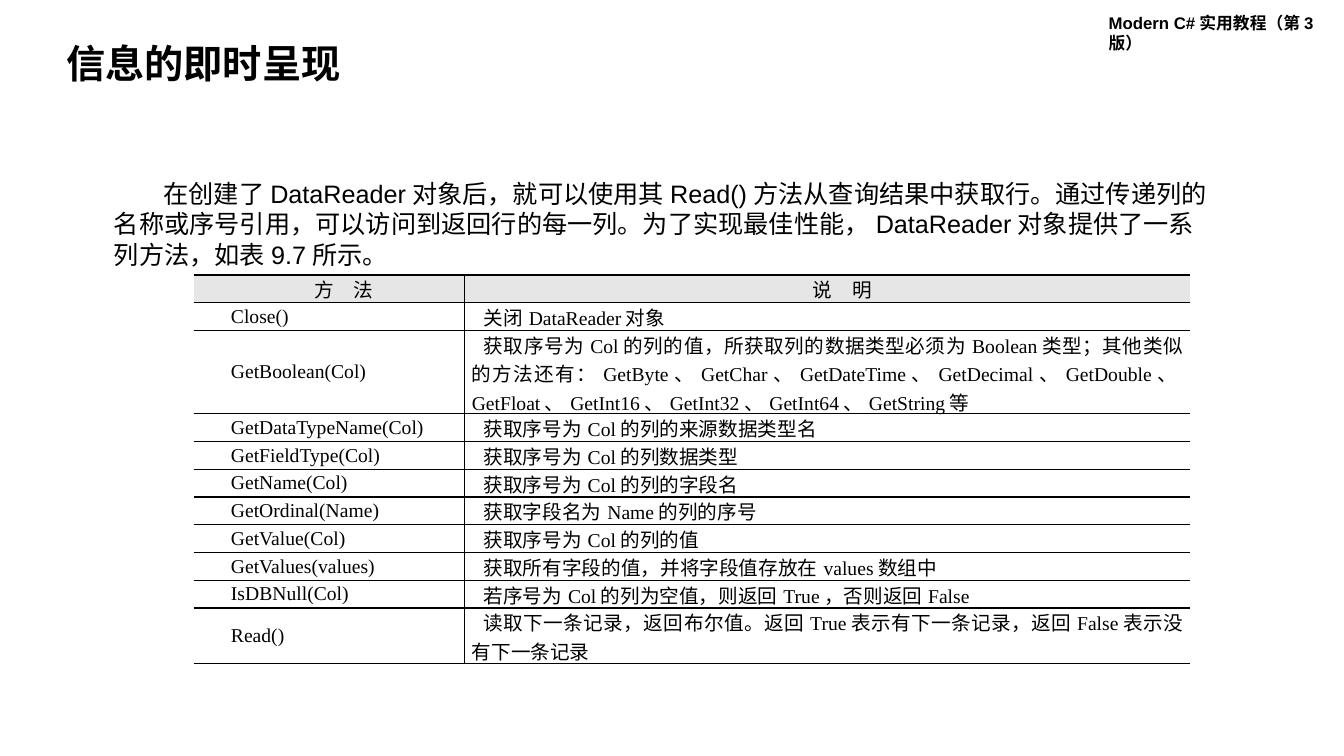
import dataclasses

import pptx
import pptx.dml.color
import pptx.enum.lang
import pptx.enum.text
import pptx.oxml
import pptx.oxml.ns
import pptx.util

Cm = pptx.util.Cm
Pt = pptx.util.Pt
ALIGN = pptx.enum.text.PP_ALIGN
ANCHOR = pptx.enum.text.MSO_ANCHOR


@dataclasses.dataclass(frozen=True)
class Theme:
    ink: str = "000000"
    header_fill: str = "E6E6E6"
    sans: str = "Arial"
    serif: str = "Times New Roman"
    running_size: int = 12
    title_size: int = 28
    body_size: int = 18
    table_size: int = 14
    rule_width: int = 1


THEME = Theme()
LINE_HEIGHT = 0.7
CELL_INSET = 0.18
HEADINGS = ("方　法", "说　明")
# Method, description, number of text lines
METHODS = [
    ("Close()", "关闭DataReader对象", 1),
    ("GetBoolean(Col)",
     "获取序号为Col的列的值，所获取列的数据类型必须为Boolean类型；其他类似的方法还有："
     "GetByte、GetChar、GetDateTime、GetDecimal、GetDouble、GetFloat、"
     "GetInt16、GetInt32、GetInt64、GetString等", 3),
    ("GetDataTypeName(Col)", "获取序号为Col的列的来源数据类型名", 1),
    ("GetFieldType(Col)", "获取序号为Col的列数据类型", 1),
    ("GetName(Col)", "获取序号为Col的列的字段名", 1),
    ("GetOrdinal(Name)", "获取字段名为Name的列的序号", 1),
    ("GetValue(Col)", "获取序号为Col的列的值", 1),
    ("GetValues(values)", "获取所有字段的值，并将字段值存放在values数组中", 1),
    ("IsDBNull(Col)", "若序号为Col的列为空值，则返回True，否则返回False", 1),
    ("Read()",
     "读取下一条记录，返回布尔值。返回True表示有下一条记录，返回False表示没有下一条记录", 2),
]
INTRODUCTION = (
    "在创建了DataReader对象后，就可以使用其Read()方法从查询结果中获取行。"
    "通过传递列的名称或序号引用，可以访问到返回行的每一列。"
    "为了实现最佳性能，DataReader对象提供了一系列方法，如表9.7所示。"
)


def apply_format(target, values):
    for name, value in values.items():
        setattr(target, name, value)


def write_text(text_frame, text, font, size, bold=False, indent=0, **paragraph_format):
    """Fill the frame with one paragraph; indent is the first line's, in cm."""
    text_frame.text = text
    paragraph = text_frame.paragraphs[0]
    if indent:
        paragraph._p.get_or_add_pPr().set("indent", str(Cm(indent)))
    apply_format(paragraph, paragraph_format)
    run_font = paragraph.runs[0].font
    apply_format(run_font, {
        "name": font, "size": Pt(size), "bold": bold,
        "language_id": pptx.enum.lang.MSO_LANGUAGE_ID.SIMPLIFIED_CHINESE,
    })
    run_font.color.rgb = pptx.dml.color.RGBColor.from_string(THEME.ink)


def add_running_head(slide, left, top, width, height):
    text_box = slide.shapes.add_textbox(Cm(left), Cm(top), Cm(width), Cm(height))
    text_box.text_frame.word_wrap = True
    write_text(text_box.text_frame, "Modern C#实用教程（第3版）",
               THEME.sans, THEME.running_size, bold=True)


def add_title(slide, left, top, width, height):
    title = slide.shapes.title
    apply_format(title, {"left": Cm(left), "top": Cm(top),
                         "width": Cm(width), "height": Cm(height)})
    apply_format(title.text_frame, {
        "auto_size": pptx.enum.text.MSO_AUTO_SIZE.NONE,
        "vertical_anchor": ANCHOR.MIDDLE, "word_wrap": True,
    })
    write_text(title.text_frame, "信息的即时呈现", THEME.sans, THEME.title_size,
               bold=True, alignment=ALIGN.LEFT, line_spacing=0.9)


def add_introduction(slide, left, top, width, height):
    text_box = slide.shapes.add_textbox(Cm(left), Cm(top), Cm(width), Cm(height))
    text_box.text_frame.word_wrap = True
    write_text(text_box.text_frame, INTRODUCTION, THEME.sans, THEME.body_size, indent=1.25)


def set_borders(cell, visible):
    """Rule the sides named in visible (letters of LRTB) and clear the others."""
    properties = cell._tc.get_or_add_tcPr()
    namespace = pptx.oxml.ns.nsdecls("a")
    for side in "LRTB":
        if side in visible:
            paint = f'<a:solidFill><a:srgbClr val="{THEME.ink}"/></a:solidFill>'
        else:
            paint = "<a:noFill/>"
        properties.append(pptx.oxml.parse_xml(
            f'<a:ln{side} {namespace} w="{Pt(THEME.rule_width)}">{paint}</a:ln{side}>'))


def format_cell(cell, text, column, is_header):
    set_borders(cell, "TBR" if column == 0 else "TBL")
    if is_header:
        cell.fill.solid()
        cell.fill.fore_color.rgb = pptx.dml.color.RGBColor.from_string(THEME.header_fill)
    else:
        cell.fill.background()
    apply_format(cell, {
        "margin_left": Cm(CELL_INSET), "margin_right": Cm(CELL_INSET),
        "margin_top": 0, "margin_bottom": 0, "vertical_anchor": ANCHOR.MIDDLE,
    })
    write_text(cell.text_frame, text, THEME.serif, THEME.table_size,
               indent=0.76 if is_header or column == 0 else 0.3,
               alignment=ALIGN.CENTER if is_header else ALIGN.JUSTIFY)


def add_method_table(slide, left, top, column_widths):
    rows = [(*HEADINGS, 1), *METHODS]
    height = LINE_HEIGHT * sum(lines for *_, lines in rows)
    table = slide.shapes.add_table(
        len(rows), len(column_widths), Cm(left), Cm(top),
        Cm(sum(column_widths)), Cm(height)).table
    apply_format(table, {"first_row": False, "horz_banding": False})
    for column, width in zip(table.columns, column_widths):
        column.width = Cm(width)
    for row_index, (*texts, lines) in enumerate(rows):
        table.rows[row_index].height = Cm(LINE_HEIGHT * lines)
        for column_index, text in enumerate(texts):
            format_cell(table.cell(row_index, column_index), text,
                        column_index, row_index == 0)


def build_method_slide(presentation):
    slide = presentation.slides.add_slide(presentation.slide_layouts[5])
    add_running_head(slide, 27.69, 0.2, 6.2, 0.76)
    add_title(slide, 1.42, 0.99, 17.75, 1.32)
    add_introduction(slide, 2.62, 4.37, 28.19, 2.57)
    add_method_table(slide, 4.88, 6.93, (6.83, 18.28))


def main():
    presentation = pptx.Presentation()
    apply_format(presentation, {"slide_width": Cm(33.87), "slide_height": Cm(19.05)})
    build_method_slide(presentation)
    presentation.save("out.pptx")


if __name__ == "__main__":
    main()
